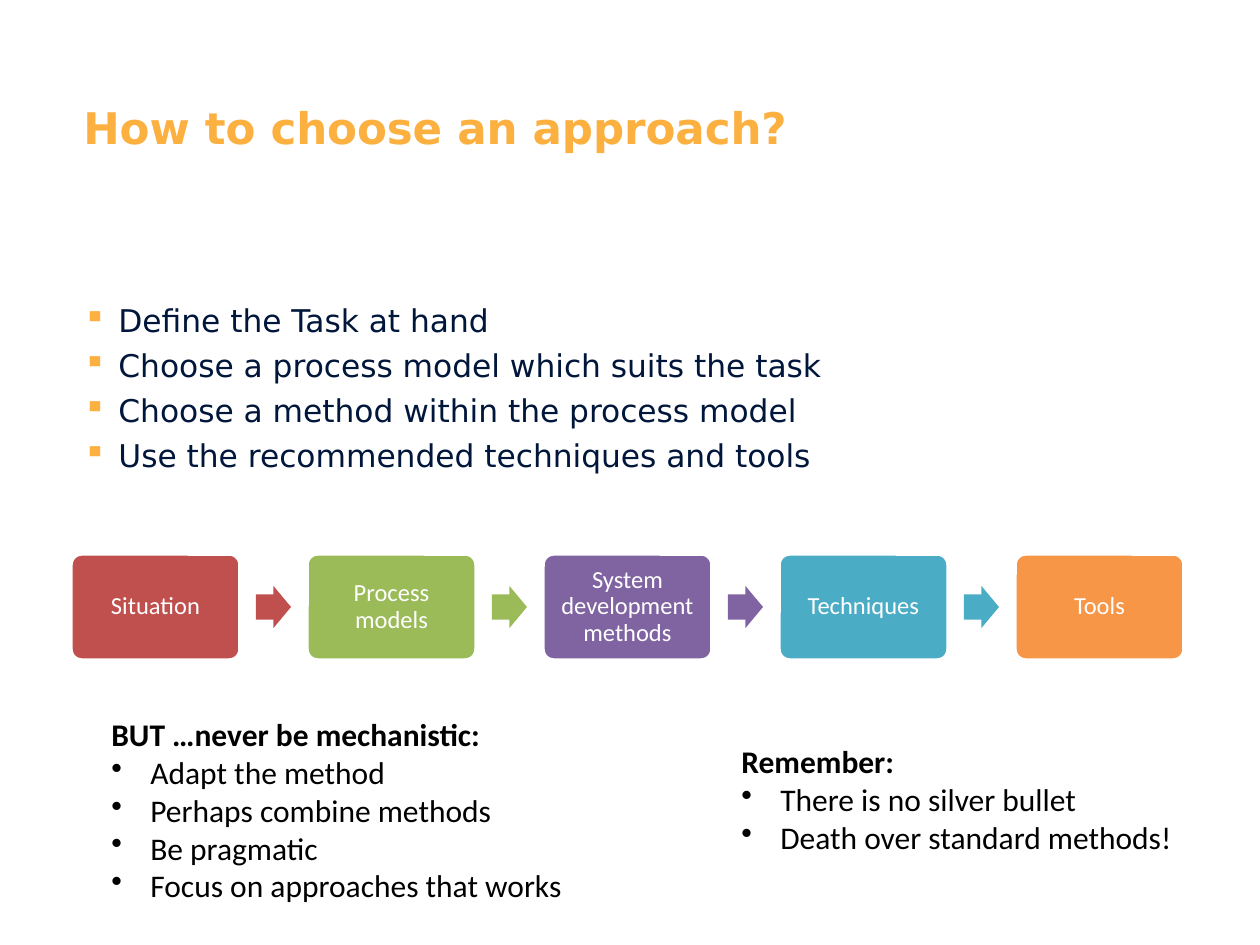
from dataclasses import dataclass

from lxml.etree import SubElement
from pptx import Presentation
from pptx.dml.color import RGBColor
from pptx.enum.shapes import MSO_SHAPE
from pptx.enum.text import MSO_ANCHOR, MSO_AUTO_SIZE, PP_ALIGN
from pptx.oxml.ns import qn
from pptx.util import Emu, Pt


@dataclass(frozen=True)
class Theme:
    heading_font: str = "DejaVu Sans"
    body_font: str = "Calibri"
    title_size: float = 24.9
    list_size: float = 17.9
    note_size: float = 18
    step_size: float = 14
    accent: str = "FBB040"
    navy: str = "00163B"
    black: str = "000000"
    white: str = "FFFFFF"
    red: str = "C0504D"
    green: str = "9BBB59"
    purple: str = "8064A2"
    teal: str = "4BACC6"
    orange: str = "F79646"


THEME = Theme()
STEPS = [
    ("Situation", THEME.red),
    ("Process models", THEME.green),
    ("System development methods", THEME.purple),
    ("Techniques", THEME.teal),
    ("Tools", THEME.orange),
]


def px(length):
    """Turn slide pixels (126 to the inch) into EMU."""
    return Emu(round(length * 914400 / 126))


def color(value):
    return RGBColor.from_string(value)


def add_bullet(paragraph, char, indent, bullet_color=None):
    properties = paragraph._p.get_or_add_pPr()
    properties.set("marL", str(px(indent)))
    properties.set("indent", str(-px(indent)))
    if bullet_color:
        tint = SubElement(properties, qn("a:buClr"))
        SubElement(tint, qn("a:srgbClr"), val=bullet_color)
    SubElement(properties, qn("a:buChar"), char=char)


def write(frame, text, *, font, size, ink, bold=False, bullet=None, indent=0,
          bullet_color=None, align=PP_ALIGN.LEFT, before=0, leading=None):
    """Write one paragraph, using the empty first one when it is free."""
    first = not frame.paragraphs[0].runs
    paragraph = frame.paragraphs[0] if first else frame.add_paragraph()
    paragraph.alignment = align
    if leading:
        paragraph.line_spacing = leading
    if before and not first:
        paragraph.space_before = Pt(before)
    if bullet:
        add_bullet(paragraph, bullet, indent, bullet_color)
    run = paragraph.add_run()
    run.text = text
    run.font.name = font
    run.font.size = Pt(size)
    run.font.bold = bold
    run.font.color.rgb = color(ink)


def add_text_area(slide, left, top, width, height):
    frame = slide.shapes.add_textbox(px(left), px(top), px(width), px(height)).text_frame
    frame.word_wrap = True
    return frame


def add_filled_shape(slide, preset, left, top, width, height, fill, adjustments):
    shape = slide.shapes.add_shape(preset, px(left), px(top), px(width), px(height))
    shape.shadow.inherit = False
    shape.fill.solid()
    shape.fill.fore_color.rgb = color(fill)
    shape.line.fill.background()
    for index, value in enumerate(adjustments):
        shape.adjustments[index] = value
    return shape


def add_step(slide, left, top, width, height, label, fill):
    step = add_filled_shape(slide, MSO_SHAPE.ROUNDED_RECTANGLE,
                            left, top, width, height, fill, [0.1])
    step.line.color.rgb = color(THEME.white)
    step.line.width = Pt(2)
    frame = step.text_frame
    frame.word_wrap = True
    frame.vertical_anchor = MSO_ANCHOR.MIDDLE
    frame.margin_left = frame.margin_right = px(7)
    frame.margin_top = frame.margin_bottom = px(7)
    write(frame, label, font=THEME.body_font, size=THEME.step_size,
          ink=THEME.white, align=PP_ALIGN.CENTER, leading=0.9)


def add_process(slide, left, top):
    width, height, pitch = 169, 106, 236
    arrow_width, arrow_height = 35, 42
    arrow_top = top + (height - arrow_height) // 2
    arrow_offset = width + (pitch - width - arrow_width) // 2
    for index, (label, fill) in enumerate(STEPS):
        step_left = left + index * pitch
        add_step(slide, step_left, top, width, height, label, fill)
        if index < len(STEPS) - 1:
            add_filled_shape(slide, MSO_SHAPE.RIGHT_ARROW, step_left + arrow_offset,
                             arrow_top, arrow_width, arrow_height, fill, [0.6, 0.5])


def add_note(slide, left, top, width, height, heading, points):
    frame = add_text_area(slide, left, top, width, height)
    frame.auto_size = MSO_AUTO_SIZE.SHAPE_TO_FIT_TEXT
    style = dict(font=THEME.body_font, size=THEME.note_size, ink=THEME.black)
    write(frame, heading, bold=True, **style)
    for point in points:
        write(frame, point, bullet="•", indent=39, **style)


def main():
    presentation = Presentation()
    presentation.slide_width, presentation.slide_height = px(1260), px(945)
    slide = presentation.slides.add_slide(presentation.slide_layouts[6])

    # Title
    title = add_text_area(slide, 71, 95, 1114, 157)
    write(title, "How to choose an approach?", font=THEME.heading_font,
          size=THEME.title_size, ink=THEME.accent, bold=True)

    # Steps to follow
    guidance = add_text_area(slide, 71, 295, 1114, 520)
    for line in ("Define the Task at hand",
                 "Choose a process model which suits the task",
                 "Choose a method within the process model",
                 "Use the recommended techniques and tools"):
        write(guidance, line, font=THEME.heading_font, size=THEME.list_size,
              ink=THEME.navy, bullet="▪", indent=35,
              bullet_color=THEME.accent, before=4.3)

    # Process from situation to tools
    add_process(slide, 71, 554)

    # Cautions
    add_note(slide, 99, 709, 630, 204, "BUT …never be mechanistic:",
             ["Adapt the method", "Perhaps combine methods", "Be pragmatic",
              "Focus on approaches that works"])
    add_note(slide, 729, 736, 493, 127, "Remember:",
             ["There is no silver bullet", "Death over standard methods!"])

    presentation.save("out.pptx")


if __name__ == "__main__":
    main()
